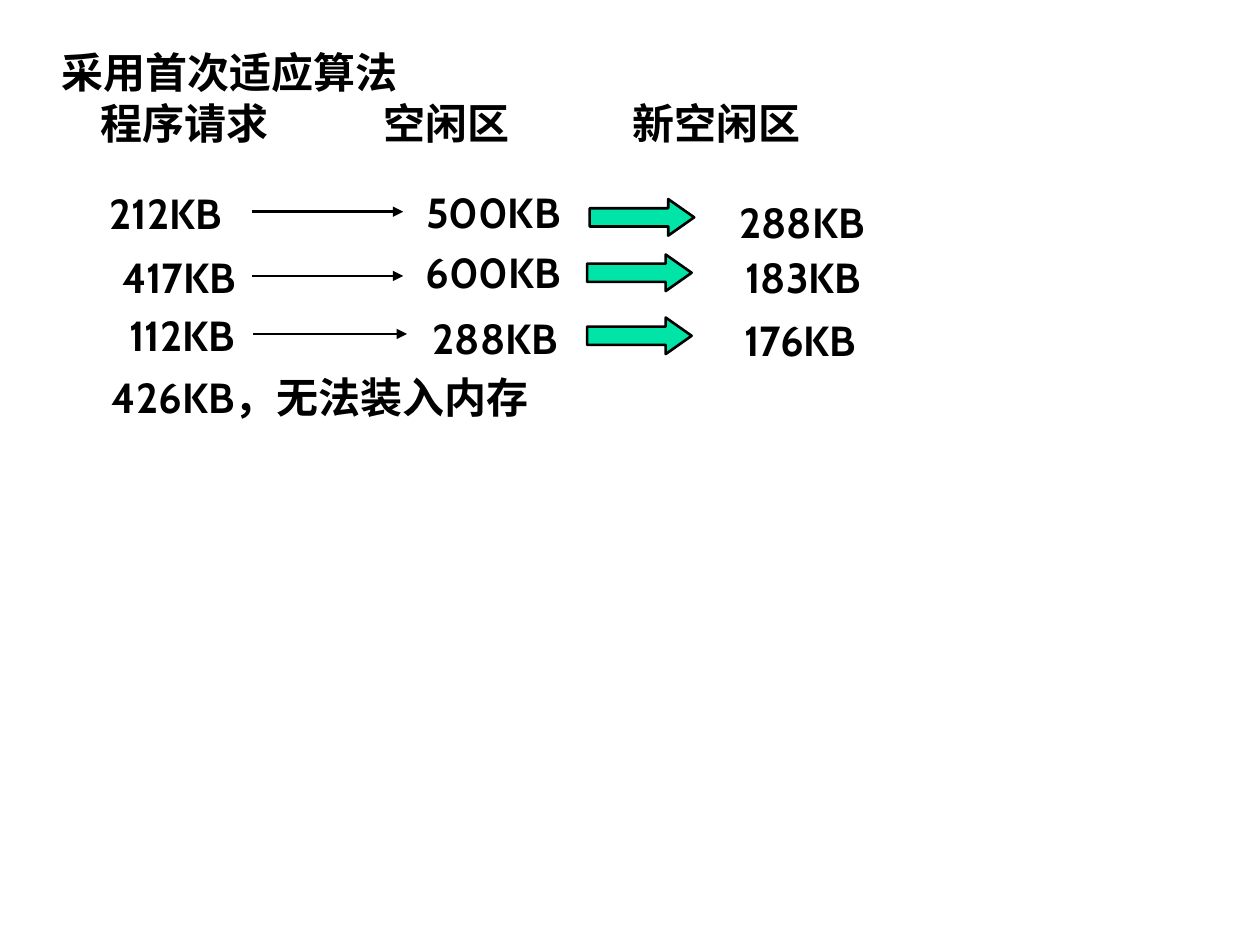
from dataclasses import dataclass

from lxml import etree
from pptx import Presentation
from pptx.dml.color import RGBColor
from pptx.enum import shapes, text
from pptx.oxml.ns import qn
from pptx.util import Inches, Pt

FONT, SIZE = "Cabin", 24
BLACK, GREEN = "000000", "00E4A8"
LINE_WIDTH = 1.5
LABEL_HEIGHT = 0.5
LEFT, CENTER = text.PP_ALIGN.LEFT, text.PP_ALIGN.CENTER


@dataclass
class Label:
    words: str
    left: float
    top: float
    width: float
    align: text.PP_ALIGN = CENTER


@dataclass
class Allocation:
    request: Label
    free: Label
    remainder: Label
    line: tuple[float, float, float]  # start x, end x, y
    arrow: tuple[float, float]  # left, top


ALLOCATIONS = [
    Allocation(Label("212KB", 0.77, 1.44, 1.42, LEFT), Label("500KB", 3.15, 1.43, 1.53),
               Label("288KB", 5.69, 1.51, 1.35), (2, 3.2, 1.68), (4.68, 1.58)),
    Allocation(Label("417KB", 0.72, 1.95, 1.4), Label("600KB", 3.25, 1.91, 1.33),
               Label("183KB", 5.72, 1.95, 1.31), (2, 3.2, 2.19), (4.66, 2.02)),
    Allocation(Label("112KB", 0.73, 2.41, 1.43), Label("288KB", 3.23, 2.43, 1.4),
               Label("176KB", 5.65, 2.45, 1.4), (2.01, 3.23, 2.65), (4.66, 2.52)),
]
FAILED_REQUEST = Label("426KB，无法装入内存", 0.79, 2.9, 4.35, LEFT)
COLUMN_TABS = (0.31, 2.55, 4.53)


def color(value: str) -> RGBColor:
    return RGBColor.from_string(value)


def format_text(frame, align: text.PP_ALIGN) -> None:
    frame.word_wrap = True
    frame.vertical_anchor = text.MSO_ANCHOR.TOP
    for paragraph in frame.paragraphs:
        paragraph.alignment = align
        for run in paragraph.runs:
            run.font.name = FONT
            run.font.size = Pt(SIZE)
            run.font.bold = True
            run.font.color.rgb = color(BLACK)


def set_title(slide) -> None:
    title = slide.shapes.title
    title.left, title.top = Inches(0.39), Inches(0.32)
    title.width, title.height = Inches(7.21), Inches(1.1)
    frame = title.text_frame
    frame.text = "采用首次适应算法\n\t程序请求\t空闲区\t新空闲区"
    frame.auto_size = text.MSO_AUTO_SIZE.NONE
    format_text(frame, LEFT)
    # Column headings sit on tab stops
    properties = frame.paragraphs[1]._p.get_or_add_pPr()
    tabs = etree.SubElement(properties, qn("a:tabLst"))
    for position in COLUMN_TABS:
        etree.SubElement(tabs, qn("a:tab"), pos=str(Inches(position)), algn="l")


def add_label(slide, label: Label) -> None:
    shape = slide.shapes.add_textbox(Inches(label.left), Inches(label.top),
                                     Inches(label.width), Inches(LABEL_HEIGHT))
    shape.text_frame.text = label.words
    format_text(shape.text_frame, label.align)


def add_line(slide, start: float, end: float, y: float) -> None:
    connector = slide.shapes.add_connector(shapes.MSO_CONNECTOR.STRAIGHT, Inches(start),
                                           Inches(y), Inches(end), Inches(y))
    connector.line.color.rgb = color(BLACK)
    connector.line.width = Pt(LINE_WIDTH)
    etree.SubElement(connector.line._get_or_add_ln(), qn("a:tailEnd"), type="triangle")
    etree.SubElement(connector._element.spPr, qn("a:effectLst"))


def add_block_arrow(slide, left: float, top: float) -> None:
    shape = slide.shapes.add_shape(shapes.MSO_SHAPE.RIGHT_ARROW, Inches(left), Inches(top),
                                   Inches(0.83), Inches(0.29))
    shape.adjustments[0] = 0.5
    shape.adjustments[1] = 0.71
    shape.shadow.inherit = False
    shape.fill.solid()
    shape.fill.fore_color.rgb = color(GREEN)
    shape.line.color.rgb = color(BLACK)
    shape.line.width = Pt(LINE_WIDTH)


def main() -> None:
    presentation = Presentation()
    presentation.slide_width, presentation.slide_height = Inches(10), Inches(7.5)
    slide = presentation.slides.add_slide(presentation.slide_layouts.get_by_name("Title Only"))

    # Title and column headings
    set_title(slide)

    # One row per request that fits
    for allocation in ALLOCATIONS:
        add_label(slide, allocation.request)
        add_line(slide, *allocation.line)
        add_label(slide, allocation.free)
        add_block_arrow(slide, *allocation.arrow)
        add_label(slide, allocation.remainder)

    # Request that does not fit
    add_label(slide, FAILED_REQUEST)
    presentation.save("out.pptx")


if __name__ == "__main__":
    main()
